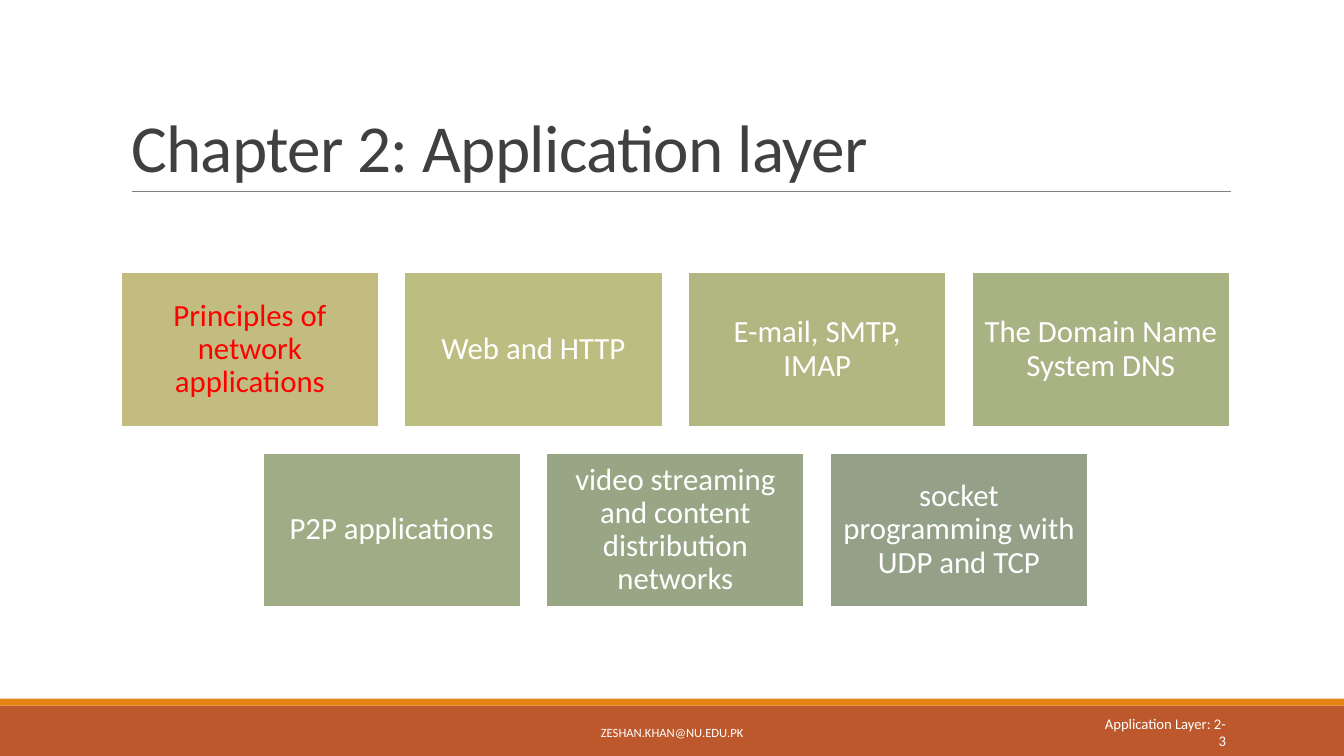
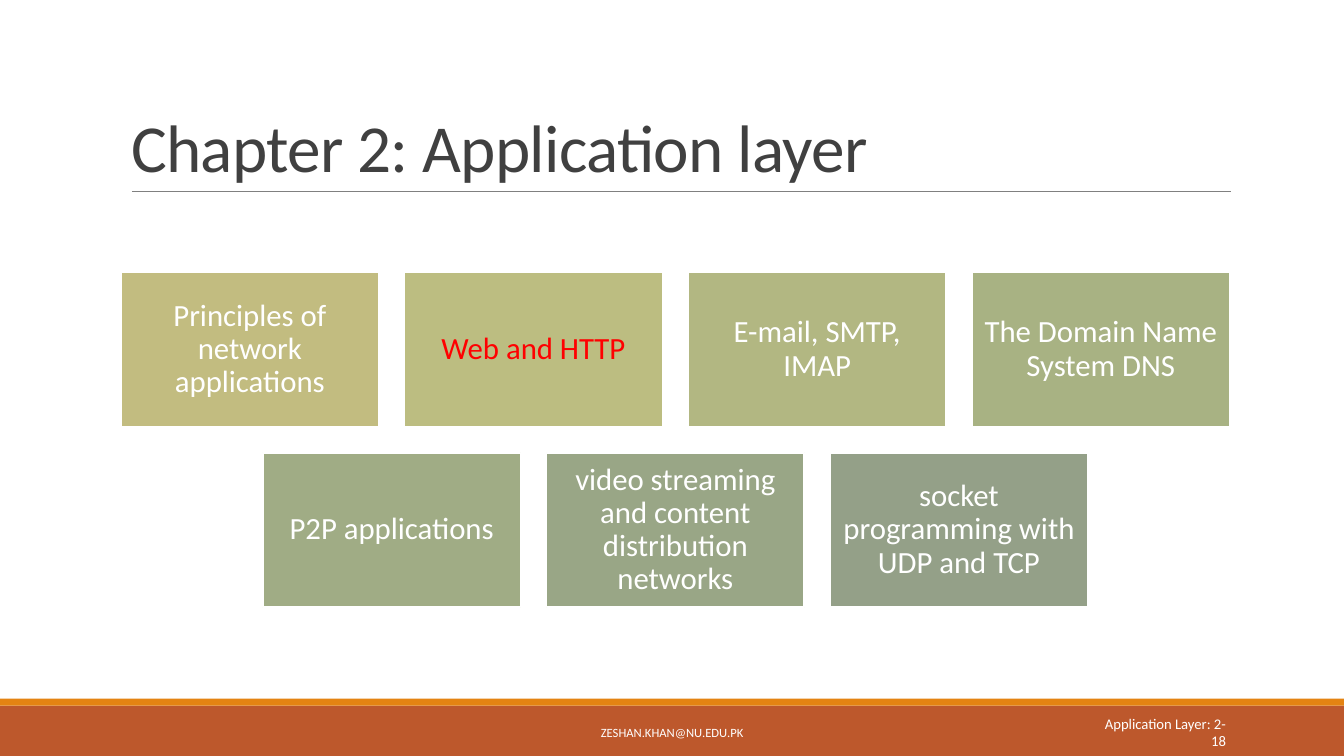
from lxml.etree import SubElement
from pptx import Presentation
from pptx.dml.color import RGBColor
from pptx.enum.shapes import MSO_CONNECTOR, MSO_SHAPE
from pptx.enum.text import MSO_ANCHOR, MSO_AUTO_SIZE, PP_ALIGN
from pptx.oxml.ns import qn
from pptx.util import Pt

WHITE = RGBColor(0xFF, 0xFF, 0xFF)
RED = RGBColor(0xFF, 0x00, 0x00)
CHARCOAL = RGBColor(0x40, 0x40, 0x40)
GRAY = RGBColor(0x80, 0x80, 0x80)
RUST = RGBColor(0xBD, 0x58, 0x2C)
ORANGE = RGBColor(0xE4, 0x83, 0x12)

SLIDE_WIDTH, SLIDE_HEIGHT = 960, 540
CONTENT_LEFT, CONTENT_WIDTH = 86.4, 792
COLUMNS = 4
CARD_WIDTH = CONTENT_WIDTH / (COLUMNS + 0.1 * (COLUMNS - 1))
CARD_HEIGHT = 0.6 * CARD_WIDTH
CARD_GAP = 0.1 * CARD_WIDTH
CARDS_TOP = 194.4

TOPICS = [
    ("Principles of network applications", RGBColor(0xC2, 0xBC, 0x80)),
    ("Web and HTTP", RGBColor(0xBC, 0xBD, 0x81)),
    ("E-mail, SMTP, IMAP", RGBColor(0xB2, 0xB7, 0x82)),
    ("The Domain Name System DNS", RGBColor(0xA8, 0xB2, 0x83)),
    ("P2P applications", RGBColor(0xA0, 0xAC, 0x85)),
    ("video streaming and content distribution networks", RGBColor(0x99, 0xA6, 0x86)),
    ("socket programming with UDP and TCP", RGBColor(0x94, 0xA0, 0x88)),
]


class Deck:
    """Hold the presentation style and draw on the current slide."""

    font_name = "Calibri"

    def __init__(self):
        """Start an empty widescreen presentation."""
        self.presentation = Presentation()
        self.presentation.slide_width = Pt(SLIDE_WIDTH)
        self.presentation.slide_height = Pt(SLIDE_HEIGHT)
        self.slide = None

    def add_slide(self, title, page):
        """Add a slide with its title, rule, bands and footer."""
        layout = self.presentation.slide_layouts[5]
        self.slide = self.presentation.slides.add_slide(layout)
        self.band(504, 36, RUST)
        self.band(499, 5, ORANGE)
        self.rule(94.3, 879.1, 136.8)
        self.title(title)
        self.footer(290, 380, "ZESHAN.KHAN@NU.EDU.PK", 9, PP_ALIGN.CENTER)
        self.footer(779.8, 103, f"Application Layer: 2-{page}", 10.5, PP_ALIGN.RIGHT)

    def set_text(self, shape, text, size, color, align, anchor, margins=(7.2, 3.6), spacing=1):
        """Put one styled paragraph into a shape."""
        frame = shape.text_frame
        frame.text = text
        frame.word_wrap = True
        frame.auto_size = MSO_AUTO_SIZE.NONE
        frame.vertical_anchor = anchor
        frame.margin_left = frame.margin_right = Pt(margins[0])
        frame.margin_top = frame.margin_bottom = Pt(margins[1])
        paragraph = frame.paragraphs[0]
        paragraph.alignment = align
        paragraph.line_spacing = spacing
        font = paragraph.runs[0].font
        font.name = self.font_name
        font.size = Pt(size)
        font.color.rgb = color

    def rectangle(self, left, top, width, height, fill):
        """Add a filled rectangle without outline or shadow."""
        shape = self.slide.shapes.add_shape(
            MSO_SHAPE.RECTANGLE, Pt(left), Pt(top), Pt(width), Pt(height))
        shape.shadow.inherit = False
        shape.fill.solid()
        shape.fill.fore_color.rgb = fill
        shape.line.fill.background()
        return shape

    def band(self, top, height, fill):
        """Add a band across the whole slide."""
        self.rectangle(0, top, SLIDE_WIDTH, height, fill)

    def rule(self, left, right, top):
        """Add the thin line under the title."""
        connector = self.slide.shapes.add_connector(
            MSO_CONNECTOR.STRAIGHT, Pt(left), Pt(top), Pt(right), Pt(top))
        connector.line.color.rgb = GRAY
        connector.line.width = Pt(0.5)
        SubElement(connector.element.spPr, qn("a:effectLst"))

    def title(self, text):
        """Fill the title placeholder."""
        shape = self.slide.shapes.title
        shape.left, shape.top = Pt(CONTENT_LEFT), Pt(22.3)
        shape.width, shape.height = Pt(CONTENT_WIDTH), Pt(114.5)
        self.set_text(shape, text, 48, CHARCOAL, PP_ALIGN.LEFT, MSO_ANCHOR.BOTTOM, spacing=0.85)
        run = shape.text_frame.paragraphs[0].runs[0]
        run._r.get_or_add_rPr().set("spc", "-50")

    def footer(self, left, width, text, size, align):
        """Add a text box on the bottom band."""
        shape = self.slide.shapes.add_textbox(Pt(left), Pt(508.5), Pt(width), Pt(28.8))
        self.set_text(shape, text, size, WHITE, align, MSO_ANCHOR.MIDDLE)

    def card(self, left, top, text, fill, color):
        """Add one topic card."""
        shape = self.rectangle(left, top, CARD_WIDTH, CARD_HEIGHT, fill)
        shape.line.color.rgb = WHITE
        shape.line.width = Pt(1.25)
        self.set_text(shape, text, 22, color, PP_ALIGN.CENTER, MSO_ANCHOR.MIDDLE,
                      margins=(6.6, 6.6), spacing=0.9)

    def cards(self, topics, current):
        """Lay out topic cards in centred rows and mark the current one."""
        for index, (text, fill) in enumerate(topics):
            row, column = divmod(index, COLUMNS)
            missing = COLUMNS - min(COLUMNS, len(topics) - row * COLUMNS)
            left = CONTENT_LEFT + (column + missing / 2) * (CARD_WIDTH + CARD_GAP)
            top = CARDS_TOP + row * (CARD_HEIGHT + CARD_GAP)
            self.card(left, top, text, fill, RED if index == current else WHITE)


def main():
    """Build the chapter outline slides."""
    deck = Deck()
    for current, page in enumerate((3, 18)):
        deck.add_slide("Chapter 2: Application layer", page)
        deck.cards(TOPICS, current)
    deck.presentation.save("out.pptx")


if __name__ == "__main__":
    main()
